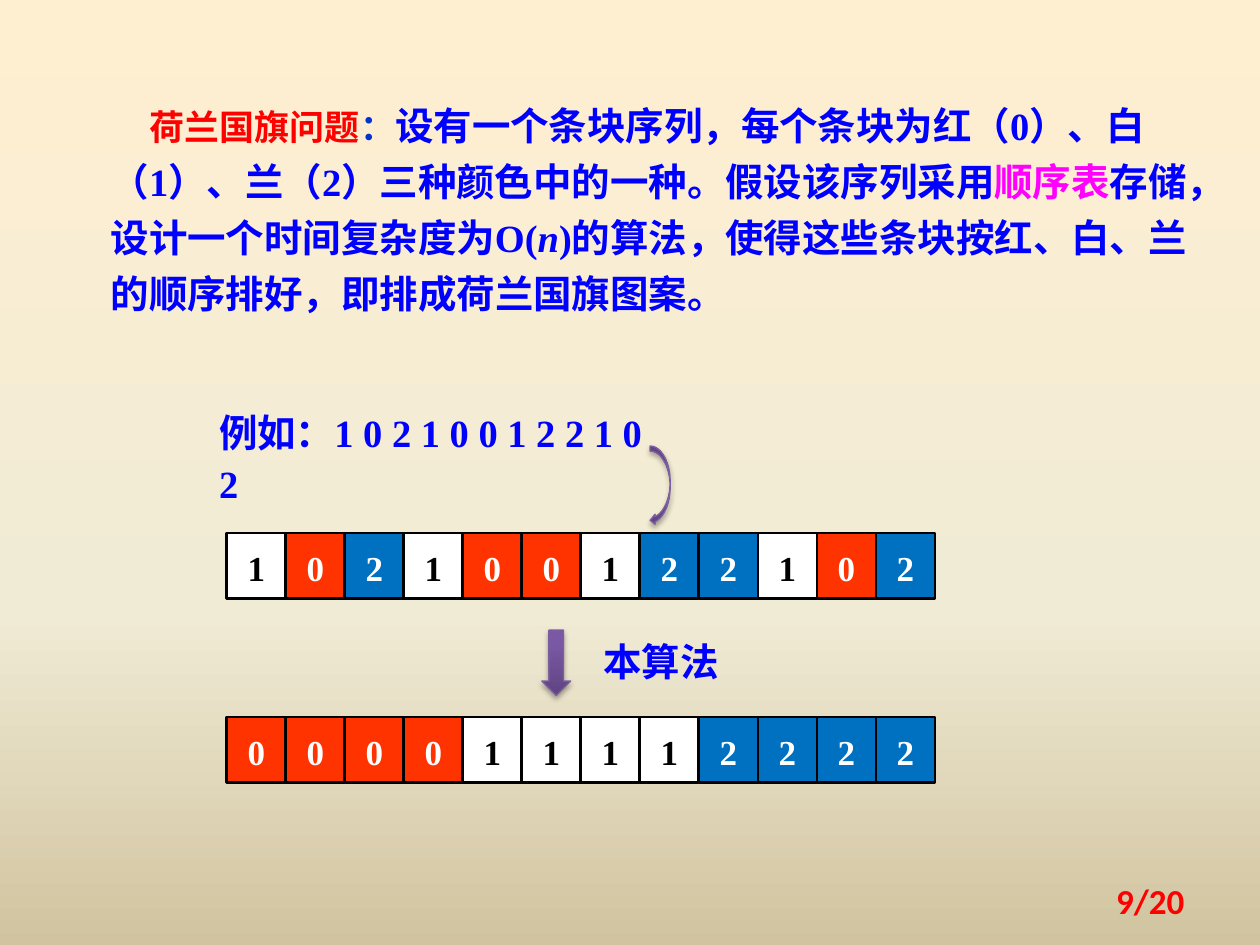
from copy import deepcopy
from dataclasses import dataclass

from lxml import etree
from pptx import Presentation
from pptx.dml.color import RGBColor
from pptx.enum.shapes import MSO_SHAPE
from pptx.enum.text import MSO_ANCHOR, MSO_AUTO_SIZE, PP_ALIGN
from pptx.oxml.ns import qn
from pptx.util import Inches, Pt

RECT, DOWN, CURVE = MSO_SHAPE.RECTANGLE, MSO_SHAPE.DOWN_ARROW, MSO_SHAPE.CURVED_LEFT_ARROW
LEFT, CENTER, RIGHT = PP_ALIGN.LEFT, PP_ALIGN.CENTER, PP_ALIGN.RIGHT
TOP, MIDDLE = MSO_ANCHOR.TOP, MSO_ANCHOR.MIDDLE
GROW = MSO_AUTO_SIZE.SHAPE_TO_FIT_TEXT


@dataclass(frozen=True)
class Theme:
    """Colours, fonts and type sizes of the slide."""
    red: str = "FF0000"
    blue: str = "0000FF"
    colon: str = "0033CC"
    pink: str = "FF00FF"
    black: str = "000000"
    edge: str = "7D60A0"
    back: tuple = ((0, "FFEFD1"), (0.65, "F0EBD5"), (1, "D1C39F"))
    arrow: tuple = ((0, "5F4480"), (0.8, "7B58A6"), (1, "7C57A8"))
    blocks: tuple = (("FF3300", "FFFFFF"), ("FFFFFF", "000000"), ("0070C0", "FFFFFF"))
    serif: str = "Times New Roman"
    han: str = "Noto Sans CJK SC"
    sans: str = "Calibri"
    small: int = 20
    large: int = 22


THEME = Theme()


def rgb(code):
    """Turn a hex code into a colour."""
    return RGBColor.from_string(code)


def add_run(para, text, color, size=THEME.large, font=THEME.serif, italic=False):
    """Add one bold run to a paragraph."""
    run = para.add_run()
    run.text = text
    run.font.name, run.font.size = font, Pt(size)
    run.font.bold, run.font.italic = True, italic
    run.font.color.rgb = rgb(color)
    props = run.font._element
    etree.SubElement(props, qn("a:ea")).set("typeface", THEME.han)


def add_text(slide, box, spacing=1.1, align=LEFT, anchor=TOP):
    """Add a wrapping text box and return its paragraph."""
    frame = slide.shapes.add_textbox(*map(Inches, box)).text_frame
    frame.word_wrap, frame.auto_size = True, GROW
    frame.vertical_anchor = anchor
    para = frame.paragraphs[0]
    para.line_spacing, para.alignment = spacing, align
    return para


def set_blend(fill, owner, stops, angle):
    """Give a fill a three-stop linear gradient."""
    fill.gradient()
    fill.gradient_angle = angle
    held = owner.find(".//" + qn("a:gsLst"))
    held.append(deepcopy(held[0]))
    for stop, (place, color) in zip(fill.gradient_stops, stops):
        stop.position = place
        stop.color.rgb = rgb(color)


def add_arrow(slide, box, kind):
    """Add a purple block arrow with a soft shadow."""
    shape = slide.shapes.add_shape(kind, *map(Inches, box))
    set_blend(shape.fill, shape.element, THEME.arrow, 90)
    shape.line.color.rgb, shape.line.width = rgb(THEME.edge), Pt(0.75)
    shape.shadow.inherit = False
    effects = shape.element.find(".//" + qn("a:effectLst"))
    shade = etree.SubElement(effects, qn("a:outerShdw"), blurRad=str(Pt(3.1)),
                             dist=str(Pt(1.8)), dir="5400000", rotWithShape="0")
    color = etree.SubElement(shade, qn("a:srgbClr"), val=THEME.black)
    etree.SubElement(color, qn("a:alpha"), val="35000")


def add_row(slide, box, digits):
    """Fill the box with equal blocks coloured by their digit."""
    left, top, width, height = map(Inches, box)
    group = slide.shapes.add_group_shape()
    step = width / len(digits)
    for i, digit in enumerate(digits):
        fill, ink = THEME.blocks[int(digit)]
        cell = group.shapes.add_shape(RECT, round(left + i * step), top, round(step), height)
        cell.shadow.inherit = False
        cell.fill.solid()
        cell.fill.fore_color.rgb = rgb(fill)
        cell.line.color.rgb, cell.line.width = rgb(THEME.black), Pt(1.5)
        cell.text_frame.vertical_anchor = MIDDLE
        para = cell.text_frame.paragraphs[0]
        para.alignment, para.line_spacing = CENTER, 1.1
        add_run(para, digit, ink, THEME.small)


def add_task(slide, box):
    """Write the problem statement."""
    para = add_text(slide, box, Pt(32))
    para._p.get_or_add_pPr().set("indent", str(Inches(0.31)))
    add_run(para, "荷兰国旗问题", THEME.red, THEME.small, THEME.han)
    add_run(para, "：", THEME.colon, THEME.small)
    add_run(para, "设有一个条块序列，每个条块为红（0）、白（1）、兰（2）三种颜色中的一种。"
                  "假设该序列采用", THEME.blue)
    add_run(para, "顺序表", THEME.pink)
    add_run(para, "存储，设计一个时间复杂度为O(", THEME.blue)
    add_run(para, "n", THEME.blue, italic=True)
    add_run(para, ")的算法，使得这些条块按红、白、兰的顺序排好，即排成荷兰国旗图案。", THEME.blue)


def add_sample(slide, box):
    """Show the sample blocks before and after sorting."""
    left, top, width, height = box
    digits = "102100122102"
    para = add_text(slide, (left - 0.16, top - 1.07, 3.59, 0.89))
    add_run(para, "例如：" + " ".join(digits), THEME.blue)
    add_row(slide, (left, top, width, 0.52), digits)
    add_arrow(slide, (left + 3.36, top - 0.69, 0.16, 0.63), CURVE)
    add_row(slide, (left, top + height - 0.52, width, 0.52), "".join(sorted(digits)))
    add_arrow(slide, (left + 2.5, top + 0.77, 0.23, 0.52), DOWN)
    para = add_text(slide, (left + 2.89, top + 0.75, 1.33, 0.46))
    add_run(para, "本算法", THEME.blue, font=THEME.han)


def add_page(slide, box):
    """Write the page number."""
    para = add_text(slide, box, 1.0, RIGHT, MIDDLE)
    add_run(para, "9/20", THEME.red, THEME.small, THEME.sans)


def main():
    """Build and save the slide."""
    deck = Presentation()
    deck.slide_width, deck.slide_height = Inches(10), Inches(7.5)
    slide = deck.slides.add_slide(deck.slide_layouts[6])
    set_blend(slide.background.fill, slide.element, THEME.back, 270)
    add_task(slide, (0.78, 0.68, 8.75, 1.9))
    add_sample(slide, (1.8, 4.23, 5.62, 1.98))
    add_page(slide, (7.17, 6.95, 2.33, 0.4))
    deck.save("out.pptx")


if __name__ == "__main__":
    main()
